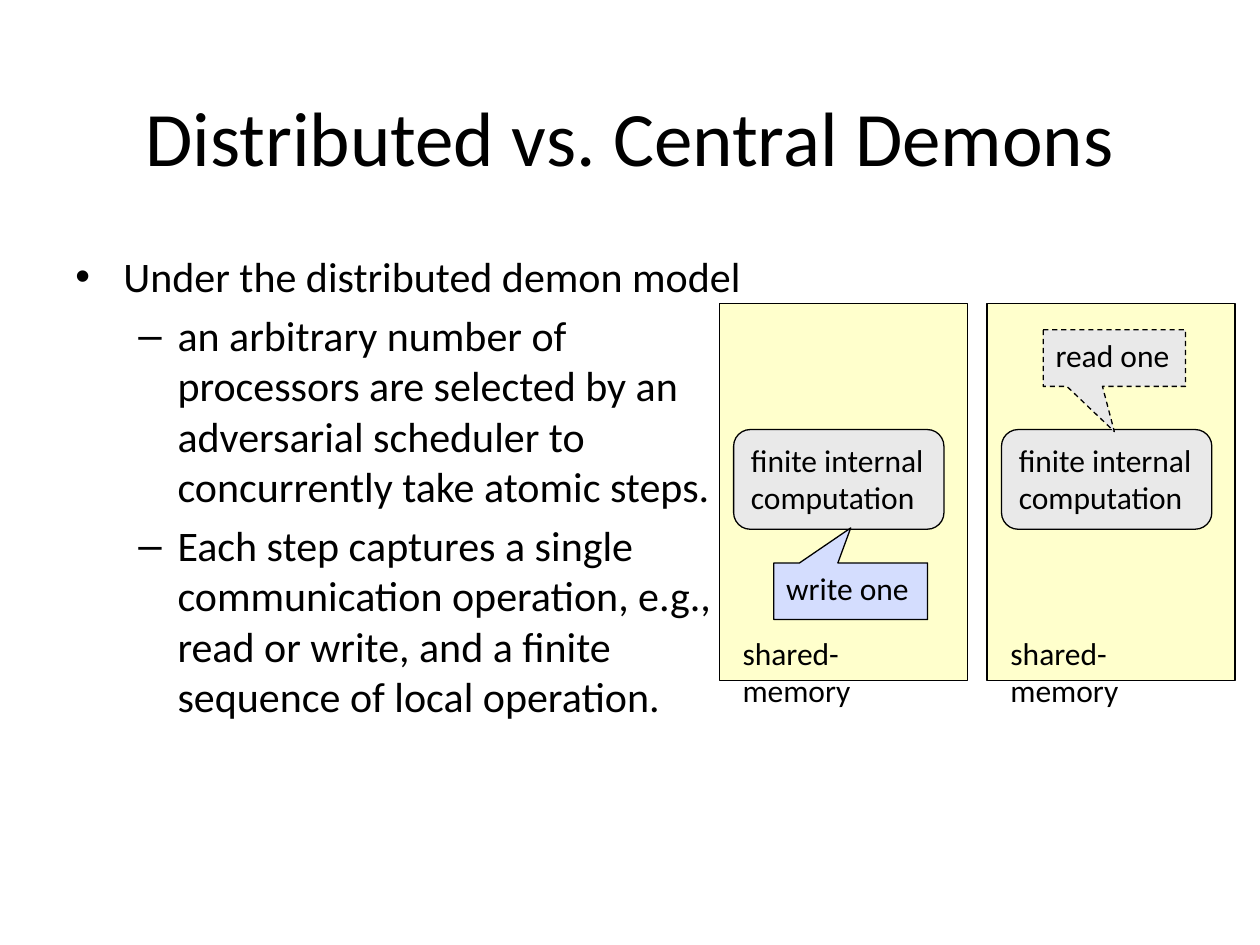
from lxml import etree
from pptx import Presentation
from pptx import util as u
from pptx.dml.color import RGBColor
from pptx.enum import dml, shapes, text
from pptx.oxml.ns import qn

BLACK = RGBColor(0x00, 0x00, 0x00)
CREAM = RGBColor(0xFF, 0xFF, 0xCC)
GREY = RGBColor(0xE9, 0xE9, 0xE9)
BLUE = RGBColor(0xD4, 0xDD, 0xFE)
FONT = "Calibri"

TITLE = "Distributed vs. Central Demons"
BULLETS = [
    (0, "Under the distributed demon model"),
    (1, "an arbitrary number of processors are selected by an adversarial "
        "scheduler to concurrently take atomic steps."),
    (1, "Each step captures a single communication operation, e.g., read or "
        "write, and a finite sequence of local operation."),
]
BULLET_STYLES = [("•", 0.97, -0.97), ("–", 2.06, -0.79)]


def write(paragraph, words, size=18, align=text.PP_ALIGN.LEFT, before=0):
    """Put words in a paragraph with the given format."""
    paragraph.alignment = align
    paragraph.space_before = u.Pt(before)
    run = paragraph.add_run()
    run.text = words
    run.font.name = FONT
    run.font.size = u.Pt(size)
    run.font.color.rgb = BLACK


def add_text_frame(slide, left, top, width, height, anchor=text.MSO_ANCHOR.TOP):
    """Add a wrapping text box and return its frame."""
    box = slide.shapes.add_textbox(u.Cm(left), u.Cm(top), u.Cm(width), u.Cm(height))
    box.text_frame.word_wrap = True
    box.text_frame.vertical_anchor = anchor
    return box.text_frame


def add_block(slide, kind, left, top, width, height, fill, words=""):
    """Add a filled, outlined shape with optional words."""
    shape = slide.shapes.add_shape(
        kind, u.Cm(left), u.Cm(top), u.Cm(width), u.Cm(height))
    shape.shadow.inherit = False
    shape.fill.solid()
    shape.fill.fore_color.rgb = fill
    shape.line.color.rgb = BLACK
    shape.line.width = u.Pt(0.75)
    if words:
        shape.text_frame.vertical_anchor = text.MSO_ANCHOR.TOP
        write(shape.text_frame.paragraphs[0], words)
    return shape


def set_bullet(paragraph, level):
    """Give a paragraph the bullet and hanging indent of its level."""
    symbol, margin, indent = BULLET_STYLES[level]
    paragraph.level = level
    properties = paragraph._p.get_or_add_pPr()
    properties.set("marL", str(u.Cm(margin)))
    properties.set("indent", str(u.Cm(indent)))
    etree.SubElement(properties, qn("a:buFont")).set("typeface", "Arial")
    etree.SubElement(properties, qn("a:buChar")).set("char", symbol)


def add_title(slide, left, top, width, height):
    """Add the centred slide title."""
    frame = add_text_frame(slide, left, top, width, height, text.MSO_ANCHOR.MIDDLE)
    write(frame.paragraphs[0], TITLE, size=44, align=text.PP_ALIGN.CENTER)


def add_bullets(slide, left, top, width, height):
    """Add the two-level bullet list."""
    frame = add_text_frame(slide, left, top, width, height)
    for index, (level, words) in enumerate(BULLETS):
        paragraph = frame.add_paragraph() if index else frame.paragraphs[0]
        set_bullet(paragraph, level)
        write(paragraph, words, size=24, before=4.8 if index else 0)


def add_memory_panel(slide, left, top, width, height):
    """Add a shared-memory panel with its internal computation."""
    add_block(slide, shapes.MSO_SHAPE.RECTANGLE, left, top, width, height, CREAM)
    label = add_text_frame(slide, left + 0.22, top + 6.53, 4.57, 0.86)
    write(label.paragraphs[0], "shared-memory")
    add_block(slide, shapes.MSO_SHAPE.ROUNDED_RECTANGLE, left + 0.29, top + 2.54,
              4.24, 2.01, GREY, "finite internal computation")


def add_callout(slide, left, top, width, height, fill, words, tip):
    """Add a rectangular callout pointing at a relative tip."""
    callout = add_block(slide, shapes.MSO_SHAPE.RECTANGULAR_CALLOUT,
                        left, top, width, height, fill, words)
    callout.adjustments[0], callout.adjustments[1] = tip
    return callout


def main():
    """Build and save the slide."""
    presentation = Presentation()
    presentation.slide_width, presentation.slide_height = u.Cm(25.4), u.Cm(19.05)
    slide = presentation.slides.add_slide(presentation.slide_layouts[6])
    add_title(slide, 1.27, 1.14, 22.86, 3.18)
    add_bullets(slide, 1.27, 4.93, 14.02, 12.6)

    top, write_left, read_left = 6.12, 14.5, 19.9
    for left in (write_left, read_left):
        add_memory_panel(slide, left, top, 5, 7.6)
    add_callout(slide, write_left + 1.1, top + 5.23, 3.1, 1.14,
                BLUE, "write one", (0, -1.12))
    read = add_callout(slide, read_left + 1.13, top + 0.53, 2.87, 1.14,
                       GREY, "read one", (0, 1.3))
    read.line.dash_style = dml.MSO_LINE.DASH
    presentation.save("out.pptx")


if __name__ == "__main__":
    main()
